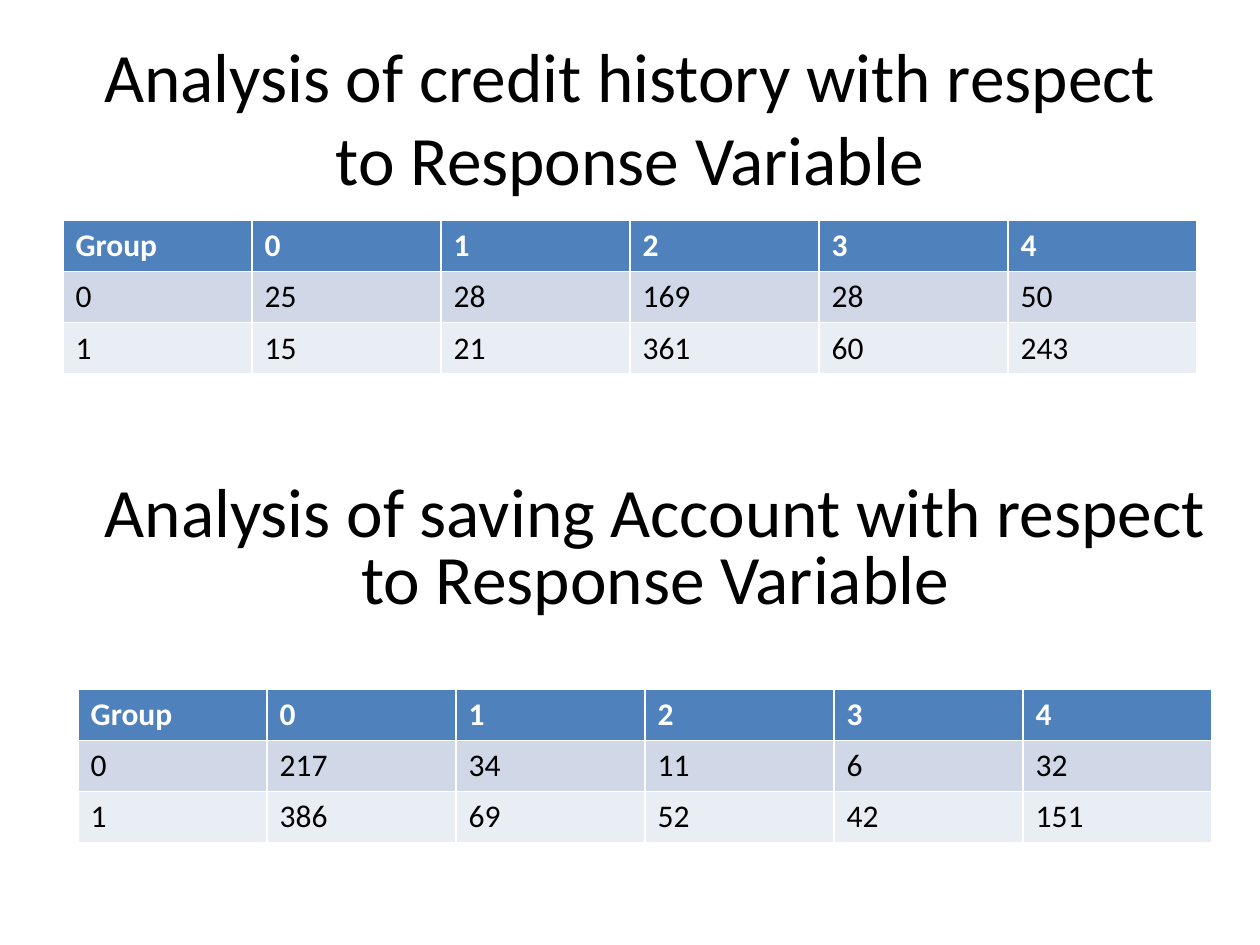
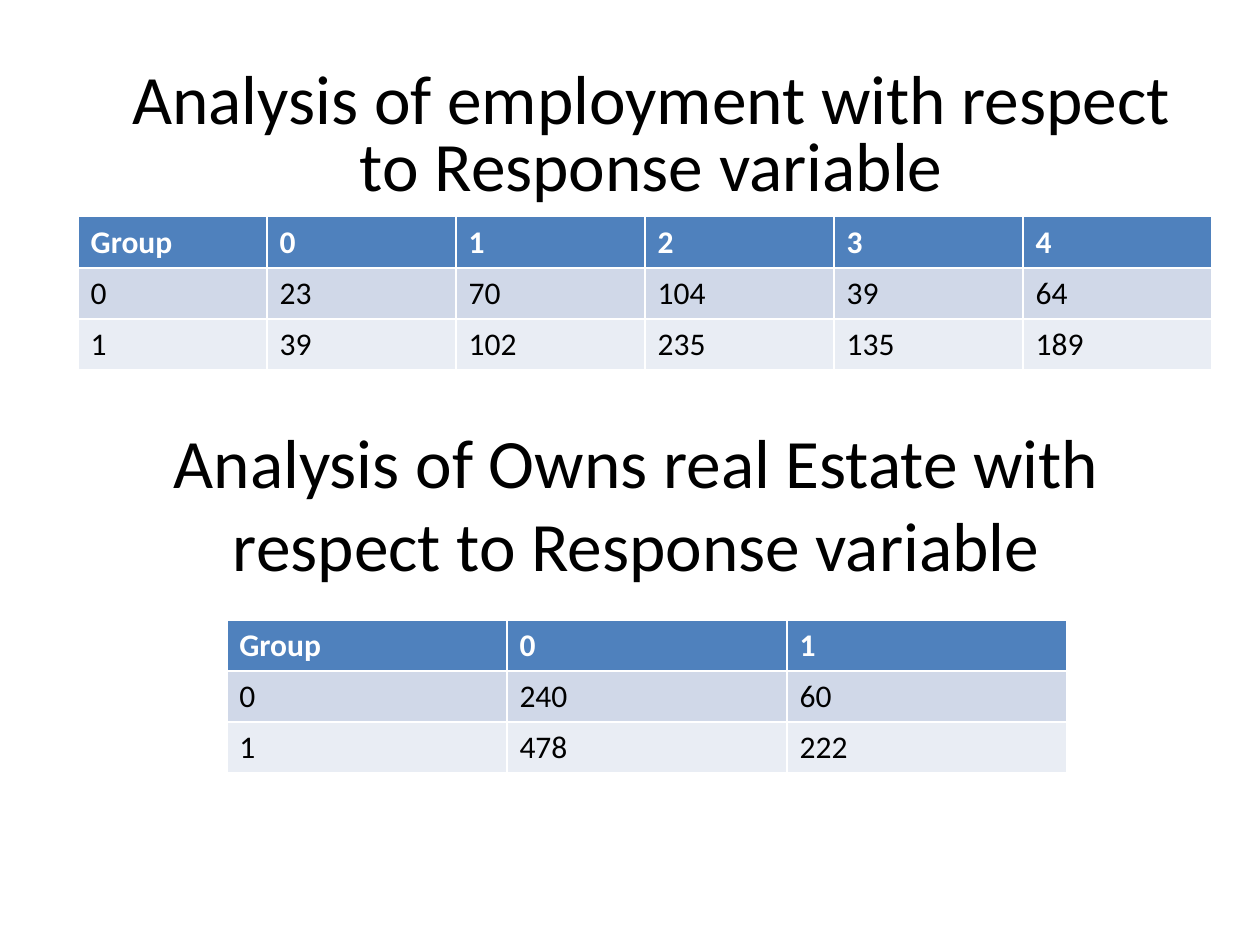
from pptx import Presentation
from pptx.dml.color import RGBColor
from pptx.enum.text import MSO_ANCHOR, MSO_AUTO_SIZE, PP_ALIGN
from pptx.util import Inches, Pt

MIDDLE = MSO_ANCHOR.MIDDLE
NO_FIT = MSO_AUTO_SIZE.NONE
CENTER = PP_ALIGN.CENTER

# Shared look
FONT = "Calibri"
BLACK, WHITE = "000000", "FFFFFF"
FILLS = ("4F81BD", "D0D8E8", "E9EDF4")  # header row, then the two bands
WIDE, HIGH = 9, 1.25                    # heading box
ROW = 0.405
TITLE_ONLY = 5


def color(code):
    return RGBColor.from_string(code)


def style(par, size, code, bold=False):
    for run in par.runs:
        font = run.font
        font.name, font.size, font.bold = FONT, Pt(size), bold
        font.color.rgb = color(code)


def heading(shape, text, left, top, lead=None):
    """Place and format a two-line heading; lead is its line spacing."""
    shape.left, shape.top = Inches(left), Inches(top)
    shape.width, shape.height = Inches(WIDE), Inches(HIGH)
    frame = shape.text_frame
    frame.text = text
    frame.word_wrap = True
    frame.auto_size = NO_FIT
    frame.vertical_anchor = MIDDLE
    par = frame.paragraphs[0]
    par.alignment = CENTER
    if lead:
        par.line_spacing = lead
    style(par, 39.6, BLACK)


def title(slide, text, left, top):
    heading(slide.shapes.title, text, left, top)


def label(slide, text, left, top):
    box = slide.shapes.add_textbox(0, 0, Inches(WIDE), Inches(HIGH))
    heading(box, text, left, top, 0.8)


def grid(slide, left, top, width, *groups):
    """Add a count table: one row per group, one numbered column per level."""
    levels = len(groups[0])
    rows = [("Group", *range(levels))]
    rows += [(num, *counts) for num, counts in enumerate(groups)]
    table = slide.shapes.add_table(
        len(rows), levels + 1, Inches(left), Inches(top),
        Inches(width), Inches(ROW * len(rows))).table
    for r, values in enumerate(rows):
        for c, value in enumerate(values):
            cell = table.cell(r, c)
            cell.fill.solid()
            cell.fill.fore_color.rgb = color(FILLS[r])
            cell.text_frame.text = str(value)
            head = r == 0
            style(cell.text_frame.paragraphs[0], 18,
                  WHITE if head else BLACK, head)


def main():
    deck = Presentation()
    deck.slide_width, deck.slide_height = Inches(10), Inches(7.5)
    layout = deck.slide_layouts[TITLE_ONLY]

    # Credit history and saving account
    slide = deck.slides.add_slide(layout)
    title(slide, "Analysis of credit history with respect "
          "to Response Variable", 0.5, 0.3)
    grid(slide, 0.5, 1.75, WIDE,
         (25, 28, 169, 28, 50), (15, 21, 361, 60, 243))
    label(slide, "Analysis of saving Account with respect "
          "to Response Variable", 0.7, 3.75)
    grid(slide, 0.62, 5.47, WIDE,
         (217, 34, 11, 6, 32), (386, 69, 52, 42, 151))

    # Employment and real estate
    slide = deck.slides.add_slide(layout)
    title(slide, "Analysis of Owns real Estate with respect "
          "to Response variable", 0.55, 3.36)
    grid(slide, 0.62, 1.72, WIDE,
         (23, 70, 104, 39, 64), (39, 102, 235, 135, 189))
    label(slide, "Analysis of employment with respect "
          "to Response variable", 0.67, 0.47)
    grid(slide, 1.8, 4.92, 6.67, (240, 60), (478, 222))

    deck.save("out.pptx")


main()
